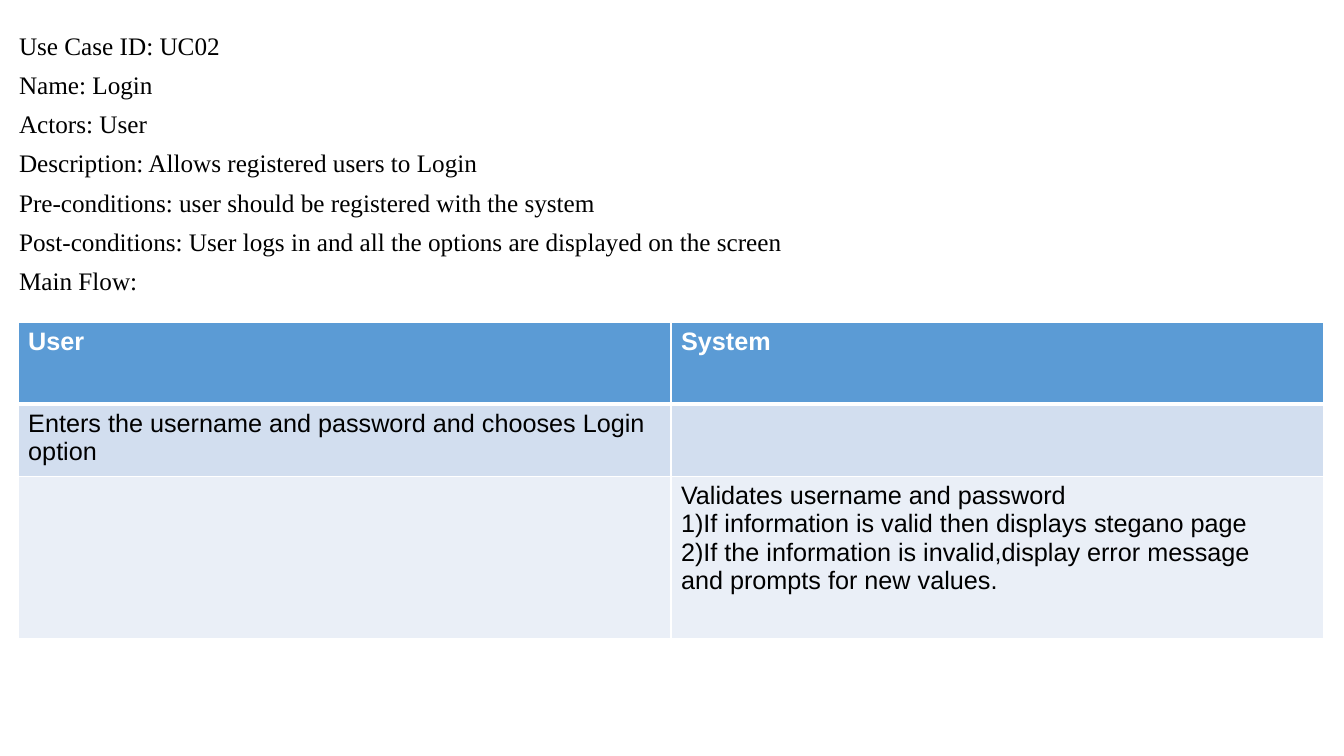
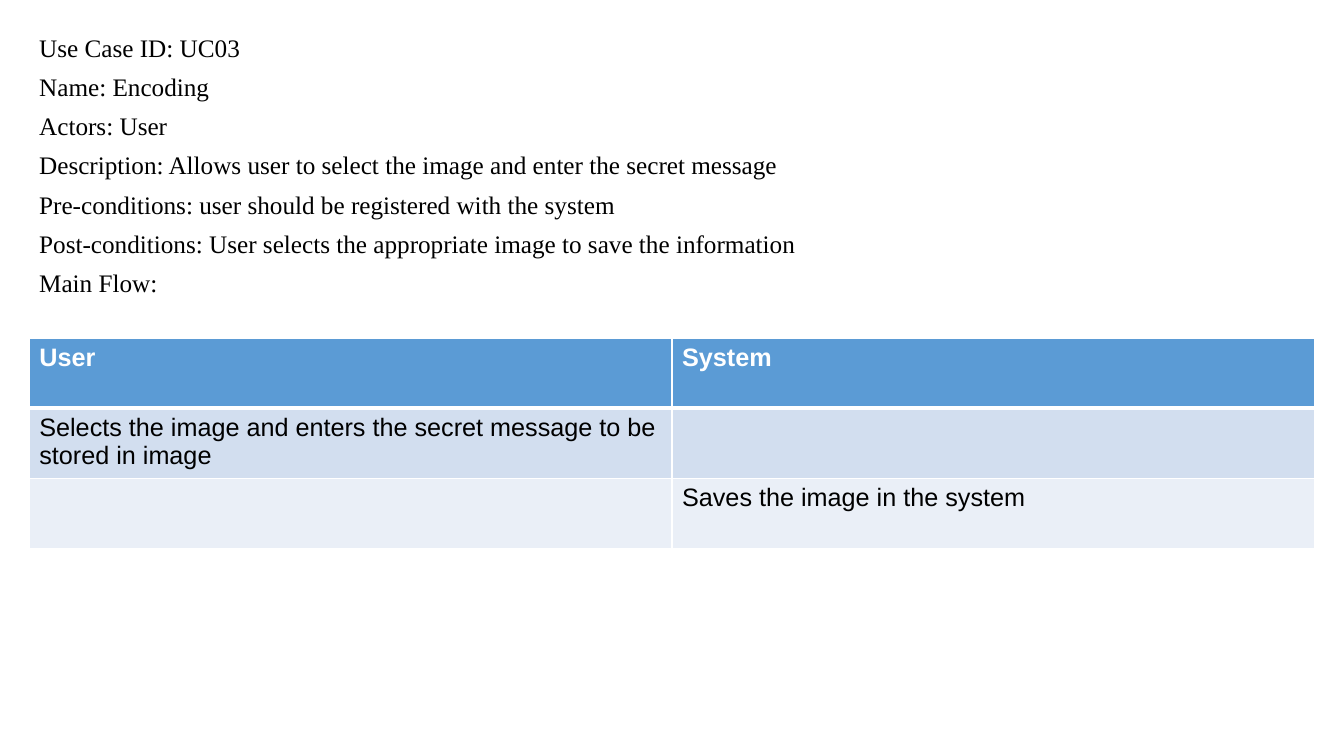
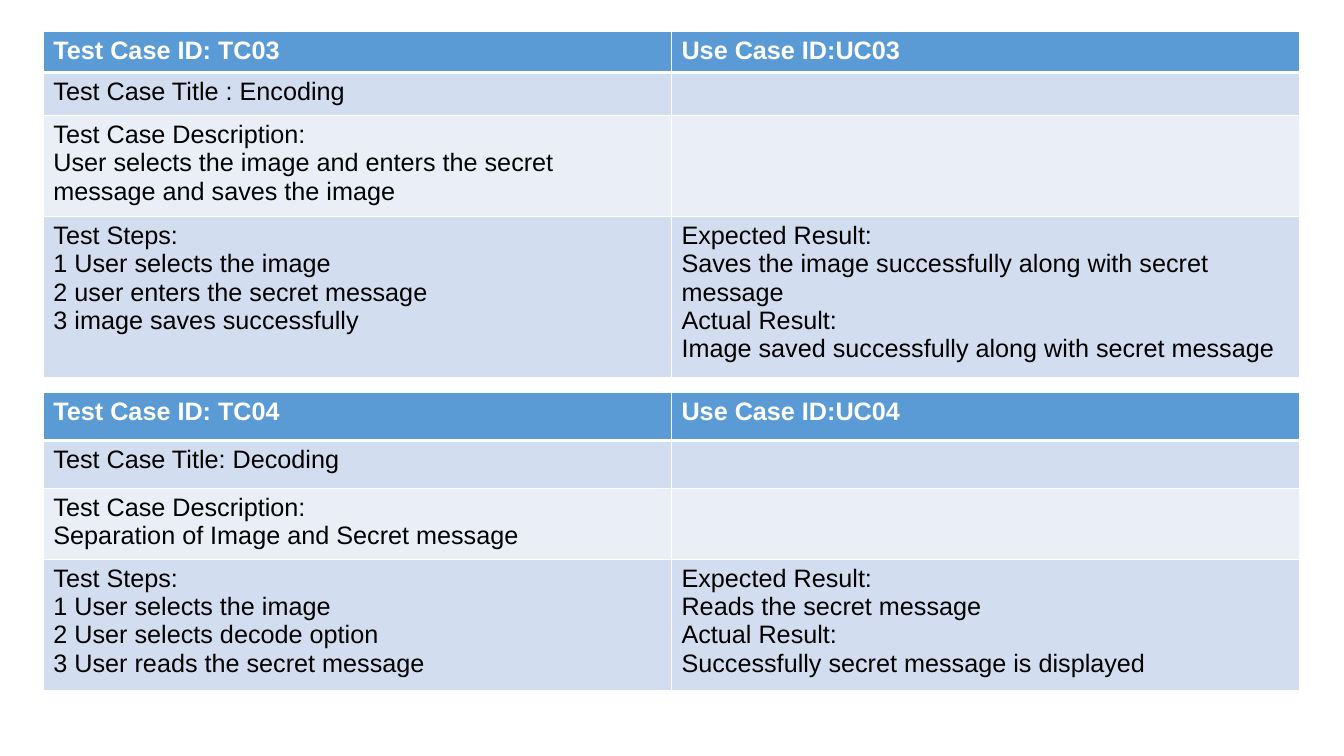
from dataclasses import dataclass

from lxml import etree
from pptx import Presentation
from pptx.dml.color import RGBColor
from pptx.enum import text
from pptx.oxml import ns
from pptx.util import Inches, Pt


@dataclass(frozen=True)
class Theme:
    """Colours, fonts and sizes shared by every slide."""
    header: str = "5B9BD5"
    bands: tuple = ("D2DEEF", "EAEFF7")
    light: str = "FFFFFF"
    dark: str = "000000"
    table_font: str = "Arial"
    text_font: str = "Times New Roman"
    size: int = 18
    leading: int = 28
    rule: int = 1
    header_rule: int = 3


THEME = Theme()


def add_lines(tf, lines, font, color, bold=False, leading=None):
    """Write one paragraph per line into a text frame."""
    for i, line in enumerate(lines):
        p = tf.paragraphs[0] if i == 0 else tf.add_paragraph()
        if leading:
            p.line_spacing = Pt(leading)
        r = p.add_run()
        r.text = line
        r.font.name = font
        r.font.size = Pt(THEME.size)
        r.font.bold = bold
        r.font.color.rgb = RGBColor.from_string(color)


def set_borders(cell, top, bottom):
    """Draw the four cell borders with the given top and bottom widths."""
    tc_pr = cell._tc.get_or_add_tcPr()
    widths = {"L": THEME.rule, "R": THEME.rule, "T": top, "B": bottom}
    for side, width in widths.items():
        ln = etree.SubElement(tc_pr, ns.qn(f"a:ln{side}"), w=str(Pt(width)))
        fill = etree.SubElement(ln, ns.qn("a:solidFill"))
        etree.SubElement(fill, ns.qn("a:srgbClr"), val=THEME.light)


def add_details(s, left, top, width, lines):
    """Add the use case description above its flow table."""
    height = Pt(THEME.leading * len(lines)) + Inches(0.1)
    sp = s.shapes.add_textbox(Inches(left), Inches(top), Inches(width), height)
    tf = sp.text_frame
    tf.word_wrap = True
    tf.auto_size = text.MSO_AUTO_SIZE.SHAPE_TO_FIT_TEXT
    add_lines(tf, lines, THEME.text_font, THEME.dark, leading=THEME.leading)


def add_grid(s, left, top, width, heights, rows):
    """Add a table of equal columns with a header and alternating bands."""
    n_cols = len(rows[0])
    table = s.shapes.add_table(len(rows), n_cols, Inches(left), Inches(top),
                               Inches(width), Inches(sum(heights))).table
    table.horz_banding = False
    for col in table.columns:
        col.width = Inches(width / n_cols)
    for i, (height, row) in enumerate(zip(heights, rows)):
        table.rows[i].height = Inches(height)
        is_header = i == 0
        fill = THEME.header if is_header else THEME.bands[(i - 1) % 2]
        color = THEME.light if is_header else THEME.dark
        for j, lines in enumerate(row):
            cell = table.cell(i, j)
            set_borders(cell, THEME.header_rule if i == 1 else THEME.rule,
                        THEME.header_rule if is_header else THEME.rule)
            cell.fill.solid()
            cell.fill.fore_color.rgb = RGBColor.from_string(fill)
            add_lines(cell.text_frame, lines, THEME.table_font, color, is_header)


def add_use_case(s, details_at, details, table_at, heights, action, response):
    """Add a use case: its details, then the user and system flow."""
    labels = ("Use Case ID", "Name", "Actors", "Description",
              "Pre-conditions", "Post-conditions")
    lines = [f"{label}: {value}" for label, value in zip(labels, details)]
    add_details(s, *details_at, lines + ["Main Flow:"])
    add_grid(s, *table_at, heights,
             [(["User"], ["System"]), ([action], []), ([], response)])


def add_test_case(s, top, heights, number, title, description, steps, expected, actual):
    """Add a test case table."""
    numbered = [f"{i} {step}" for i, step in enumerate(steps, 1)]
    add_grid(s, 0.43, top, 12.46, heights, [
        ([f"Test Case ID: TC{number}"], [f"Use Case ID:UC{number}"]),
        ([title], []),
        (["Test Case Description:", description], []),
        (["Test Steps:"] + numbered,
         ["Expected Result:", expected, "Actual Result:", actual]),
    ])


def main():
    """Build and save the three slides."""
    prs = Presentation()
    prs.slide_width, prs.slide_height = Inches(13.33), Inches(7.5)
    login, encoding, tests = (
        prs.slides.add_slide(prs.slide_layouts[6]) for _ in range(3))

    add_use_case(
        login, (0.09, 0.16, 9.91),
        ("UC02", "Login", "User", "Allows registered users to Login",
         "user should be registered with the system",
         "User logs in and all the options are displayed on the screen"),
        (0.18, 3.2, 12.95), (0.81, 0.72, 1.61),
        "Enters the username and password and chooses Login option",
        ["Validates username and password",
         "1)If information is valid then displays stegano page",
         "2)If the information is invalid,display error message",
         "and prompts for new values."])

    add_use_case(
        encoding, (0.29, 0.18, 9.71),
        ("UC03", "Encoding", "User",
         "Allows user to select the image and enter the secret message",
         "user should be registered with the system",
         "User selects the appropriate image to save the information"),
        (0.29, 3.36, 12.75), (0.69, 0.69, 0.69),
        "Selects the image and enters the secret message to be stored in image",
        ["Saves the image in the system"])

    add_test_case(
        tests, 0.31, (0.41, 0.43, 0.94, 1.49), "03", "Test Case Title : Encoding",
        "User selects the image and enters the secret message and saves the image",
        ("User selects the image", "user enters the secret message",
         "image saves successfully"),
        "Saves the image successfully along with secret message",
        "Image saved successfully along with secret message")

    add_test_case(
        tests, 3.89, (0.48, 0.48, 0.66, 1.22), "04", "Test Case Title: Decoding",
        "Separation of Image and Secret message",
        ("User selects the image", "User selects decode option",
         "User reads the secret message"),
        "Reads the secret message",
        "Successfully secret message is displayed")

    prs.save("out.pptx")


if __name__ == "__main__":
    main()
